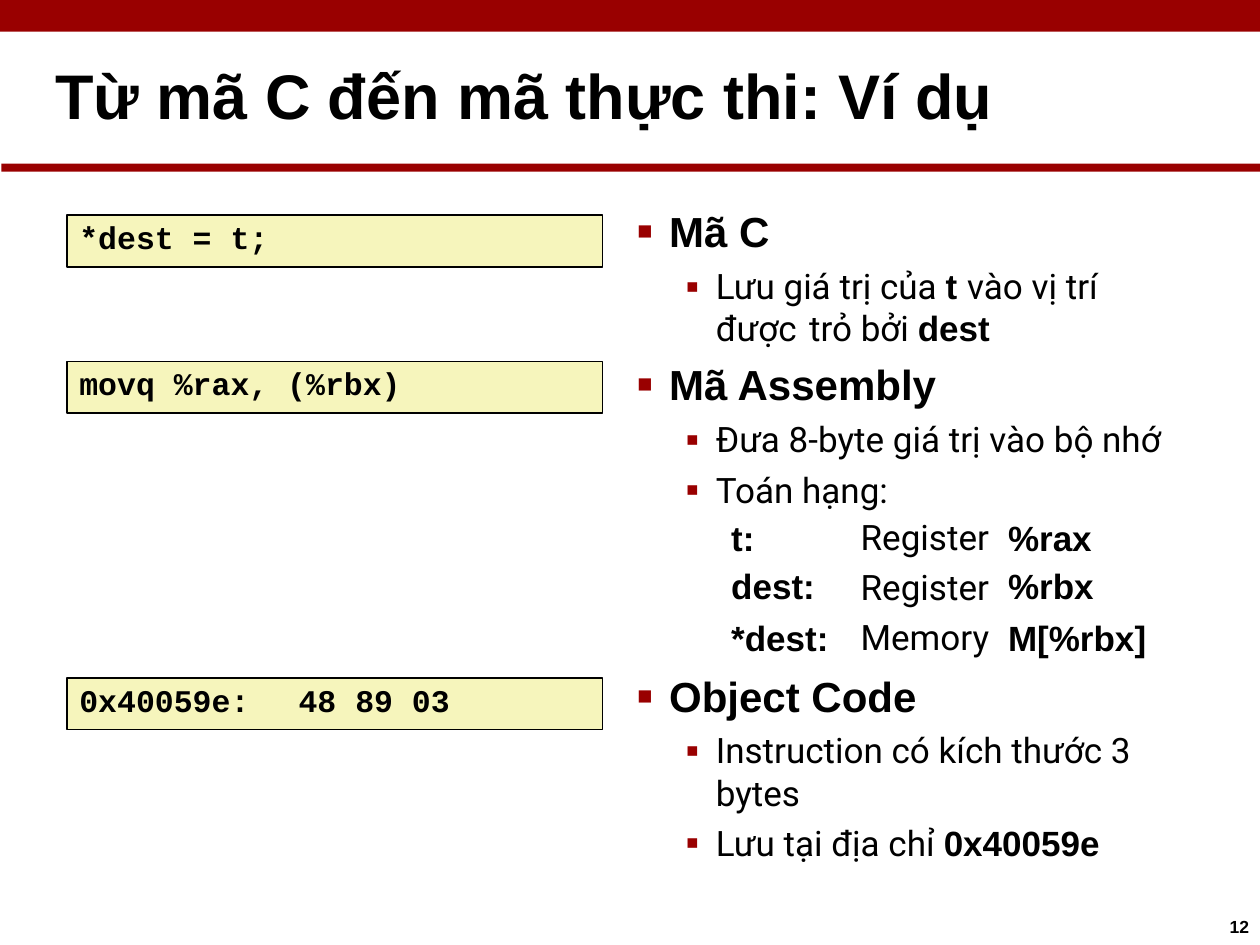
from lxml import etree
from pptx import Presentation
from pptx.dml.color import RGBColor
from pptx.enum import shapes, text
from pptx.oxml import ns
from pptx.util import Cm, Pt

RED = RGBColor(0x99, 0x00, 0x00)
CREAM = RGBColor(0xF6, 0xF5, 0xBC)
BLACK = RGBColor(0, 0, 0)


def write(para, line, size, font="Arial", bold=True, before=0):
    """Split line at | and set every second part in bold Arial."""
    for i, part in enumerate(line.split("|")):
        if not part:
            continue
        run = para.add_run()
        run.text = part
        strong = bold or i % 2 == 1
        run.font.name = "Arial" if i % 2 else font
        run.font.size = Pt(size)
        run.font.bold = strong
        run.font.color.rgb = BLACK
    para.line_spacing = 1.0
    para.space_before = Pt(before)
    para.space_after = Pt(0)


def add(para, tag, **attrs):
    """Append a drawing element to the paragraph properties."""
    props = para._p.get_or_add_pPr()
    return etree.SubElement(props, ns.qn(tag), **attrs)


prs = Presentation()
prs.slide_width, prs.slide_height = Cm(25.4), Cm(19.05)
slide = prs.slides.add_slide(prs.slide_layouts[3])
title, *bodies = slide.placeholders

# Title and red bars
for x, y, w, h in [(0, 0, 25.4, 0.64), (0.03, 3.3, 25.37, 0.16)]:
    bar = slide.shapes.add_shape(
        shapes.MSO_SHAPE.RECTANGLE, Cm(x), Cm(y), Cm(w), Cm(h))
    bar.shadow.inherit = False
    bar.fill.solid()
    bar.fill.fore_color.rgb = RED
    bar.line.fill.background()

title.left, title.top, title.width, title.height = (
    Cm(-0.03), Cm(0.61), Cm(25.48), Cm(2.79))
frame = title.text_frame
frame.auto_size = text.MSO_AUTO_SIZE.NONE
frame.vertical_anchor = text.MSO_ANCHOR.TOP
frame.margin_left, frame.margin_top = Cm(1.14), Cm(0.53)
frame.margin_right = frame.margin_bottom = 0
frame.paragraphs[0].alignment = text.PP_ALIGN.LEFT
write(frame.paragraphs[0], "Từ mã C đến mã thực thi: Ví dụ", 36, before=1)

# Bullet lists: (level, line)
lists = [
    (4.0, 11.3, 6.32, [
        (0, "Mã C"),
        (1, "Lưu giá trị của |t |vào vị trí được \ttrỏ bởi |dest"),
        (0, "Mã Assembly"),
        (1, "Đưa 8-byte giá trị vào bộ nhớ"),
        (1, "Toán hạng:")]),
    (13.36, 11.84, 3.25, [
        (0, "Object Code"),
        (1, "Instruction có kích thước 3 bytes"),
        (1, "Lưu tại địa chỉ |0x40059e")]),
]
# Per level: size, font, bold, space before, margin, hang, bullet, percent
looks = [
    (24, "Arial", True, 5.8, 0.66, 0.64, "■", 60),
    (20, "Roboto", False, 4.8, 1.6, 0.61, "▪", 110),
]
for body, (top, width, height, lines) in zip(bodies, lists):
    body.left, body.top, body.width, body.height = (
        Cm(12.83), Cm(top), Cm(width), Cm(height))
    frame = body.text_frame
    frame.auto_size = text.MSO_AUTO_SIZE.NONE
    frame.margin_left = frame.margin_bottom = 0
    frame.margin_top, frame.margin_right = Cm(0.15), Cm(0.2)
    for i, (level, line) in enumerate(lines):
        para = frame.add_paragraph() if i else frame.paragraphs[0]
        size, font, bold, before, margin, hang, mark, pct = looks[level]
        para.level = level
        write(para, line, size, font, bold, before if i else 4.2)
        props = para._p.get_or_add_pPr()
        props.set("marL", str(Cm(margin)))
        props.set("indent", str(-Cm(hang)))
        tint = add(para, "a:buClr")
        etree.SubElement(tint, ns.qn("a:srgbClr"), val=str(RED))
        add(para, "a:buSzPct", val=str(pct * 1000))
        add(para, "a:buFont", typeface="Arial")
        add(para, "a:buChar", char=mark)
        if "\t" in line:
            tabs = add(para, "a:tabLst")
            etree.SubElement(tabs, ns.qn("a:tab"), pos=str(Cm(3.48)), algn="l")

# Operand table
rows = [
    ("t:", "Register", "%rax"),
    ("dest:", "Register", "%rbx"),
    ("*dest:", "Memory", "M[%rbx]"),
]
grid = slide.shapes.add_table(
    3, 3, Cm(14.66), Cm(10.49), Cm(8.53), Cm(2.82)).table
grid.first_row = grid.horz_banding = False
for col, width in zip(grid.columns, (2.36, 3.12, 3.05)):
    col.width = Cm(width)
for r, (row, height) in enumerate(zip(rows, (0.91, 1.02, 0.89))):
    grid.rows[r].height = Cm(height)
    for c, word in enumerate(row):
        cell = grid.cell(r, c)
        cell.fill.background()
        cell.margin_right = cell.margin_bottom = 0
        cell.margin_left = Cm((0.08, 0.13, 0.18)[c])
        cell.margin_top = Cm(0.05 if r else 0)
        para = cell.text_frame.paragraphs[0]
        middle = c == 1
        if middle:
            para.alignment = text.PP_ALIGN.CENTER
        write(para, word, 20, "Roboto" if middle else "Arial",
              not middle, 1.4 if r else 0)
        if r != 1:
            para.line_spacing = Pt(23.2 if r else 22.1)

# Code boxes
codes = [
    (4.34, "*dest = t;"),
    (7.29, "movq %rax, (%rbx)"),
    (13.67, "0x40059e:\t48 89 03"),
]
for top, code in codes:
    box = slide.shapes.add_shape(
        shapes.MSO_SHAPE.RECTANGLE, Cm(1.35), Cm(top), Cm(10.8), Cm(1.04))
    box.shadow.inherit = False
    box.fill.solid()
    box.fill.fore_color.rgb = CREAM
    box.line.color.rgb = BLACK
    box.line.width = Pt(1)
    frame = box.text_frame
    frame.vertical_anchor = text.MSO_ANCHOR.TOP
    frame.margin_left = frame.margin_right = frame.margin_bottom = 0
    frame.margin_top = Cm(0.05)
    para = frame.paragraphs[0]
    para.alignment = text.PP_ALIGN.LEFT
    write(para, code, 18, "Courier New", before=1.4)
    para._p.get_or_add_pPr().set("marL", str(Cm(0.25)))
    if "\t" in code:
        tabs = add(para, "a:tabLst")
        etree.SubElement(tabs, ns.qn("a:tab"), pos=str(Cm(4.42)), algn="l")

# Page number
page = slide.shapes.add_textbox(Cm(24.69), Cm(18.47), Cm(0.56), Cm(0.5))
frame = page.text_frame
frame.word_wrap = True
frame.margin_left = Cm(0.1)
frame.margin_top = frame.margin_right = frame.margin_bottom = 0
write(frame.paragraphs[0], "12", 10)

prs.save("out.pptx")
